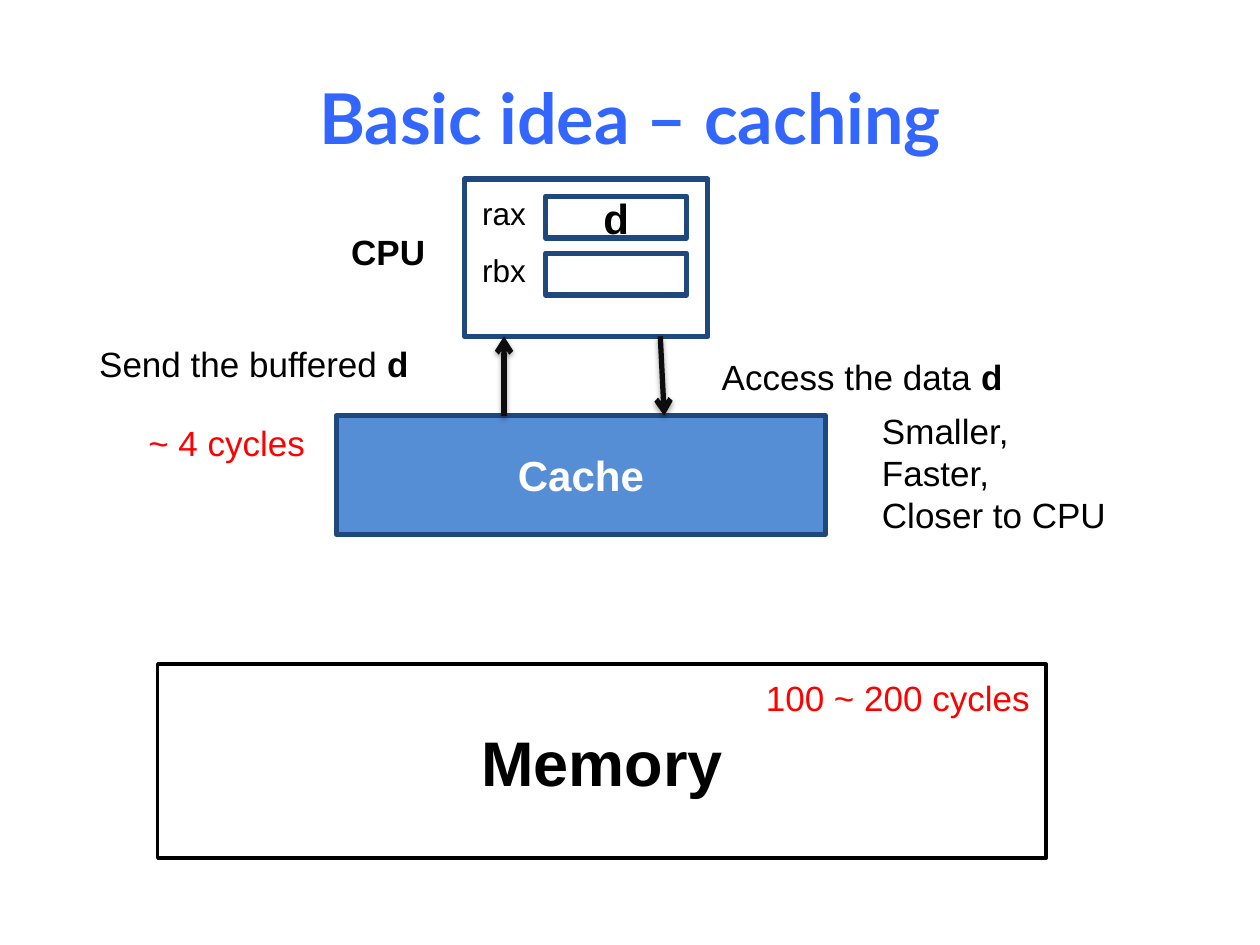
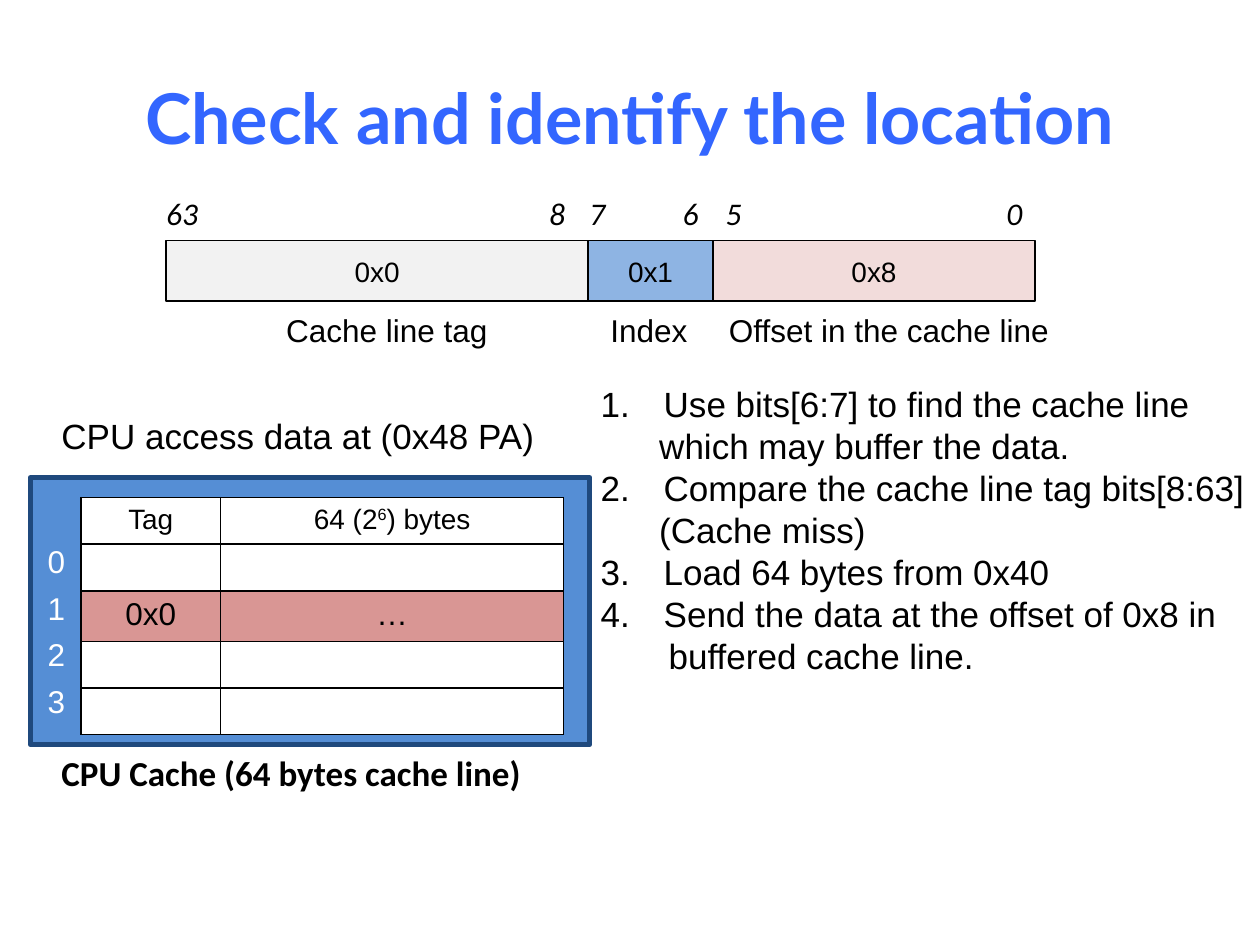
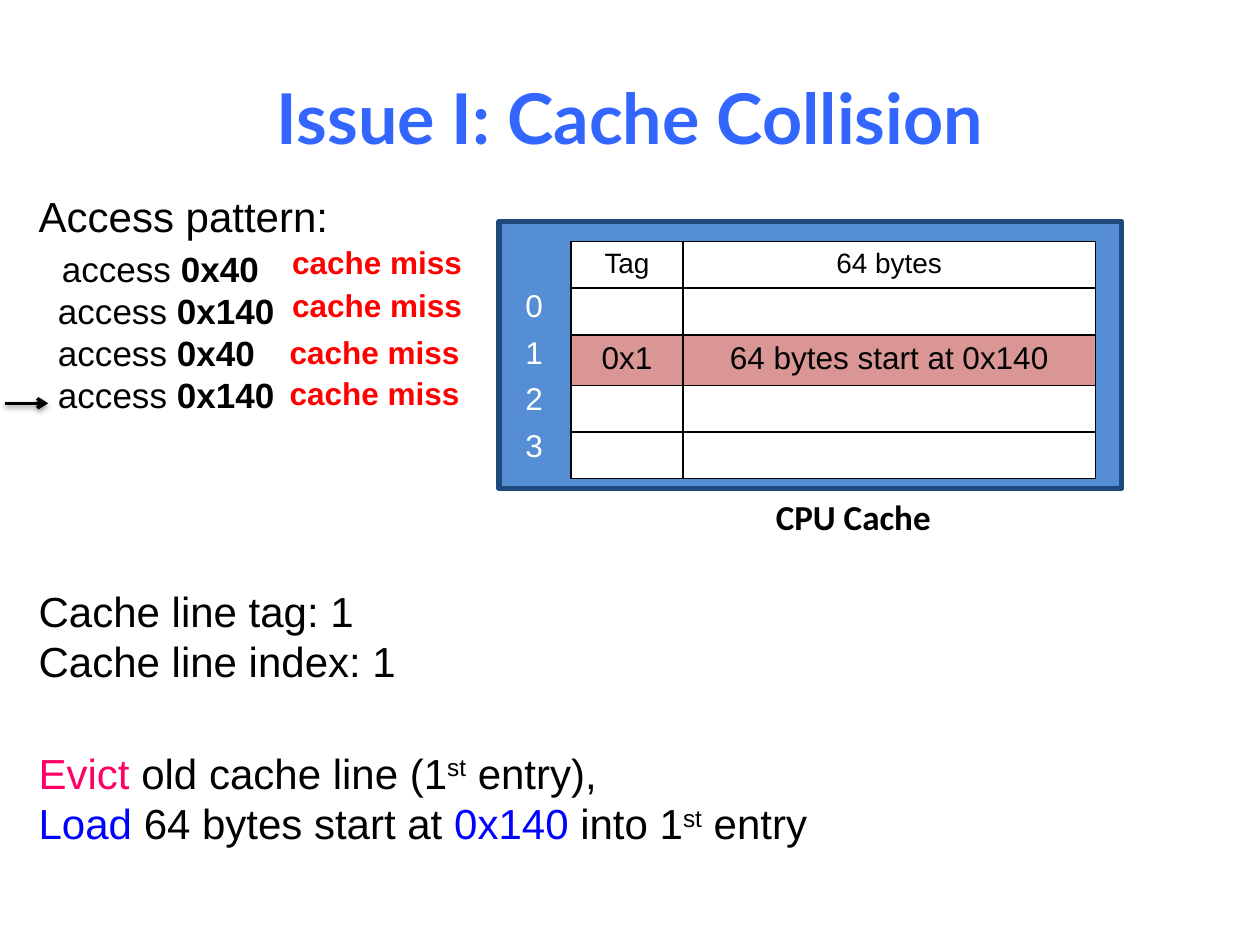
"""Build three slides that explain CPU caching, cache lookup and cache collision."""
from lxml import etree
from pptx import Presentation
from pptx.dml.color import RGBColor
from pptx.enum.shapes import MSO_CONNECTOR, MSO_SHAPE
from pptx.enum.text import MSO_ANCHOR, MSO_AUTO_SIZE as AUTO_SIZE, PP_ALIGN as ALIGN
from pptx.oxml import parse_xml
from pptx.oxml.ns import nsdecls, qn
from pptx.util import Cm, Pt

BLACK, WHITE, RED = "000000", "FFFFFF", "FF0000"
NAVY, CACHE_BLUE, TITLE_BLUE, LOAD_BLUE = "1F497D", "558ED5", "3366FF", "0000FF"
ROSE = "D99694"
BOLD, SUPER = {"bold": True}, {"baseline": "30000"}
hex_color = RGBColor.from_string


def write(frame, lines, align=ALIGN.LEFT, **style):
    """Write lines, each a string or a list of (text, style) spans."""
    for index, line in enumerate(lines):
        para = frame.add_paragraph() if index else frame.paragraphs[0]
        para.alignment = align
        for text, extra in [(line, {})] if isinstance(line, str) else line:
            look = {"name": "Arial", "size": 18, "color": BLACK} | style | extra
            span = para.add_run()
            span.text = text
            span.font.color.rgb = hex_color(look.pop("color"))
            span.font.size = Pt(look.pop("size"))
            if "baseline" in look:
                span.font._element.set("baseline", look.pop("baseline"))
            for key, value in look.items():
                setattr(span.font, key, value)


def draw(page, place, lines=(), fill=None, edge=NAVY, weight=3, wrap=False, **style):
    """Add a filled rectangle, or a plain text box when there is no fill."""
    place = [Cm(value) for value in place]
    if fill:
        box = page.shapes.add_shape(MSO_SHAPE.RECTANGLE, *place)
        box.shadow.inherit = False
        box.fill.solid()
        box.fill.fore_color.rgb = hex_color(fill)
        box.line.color.rgb = hex_color(edge)
        box.line.width = Pt(weight)
        box.text_frame.vertical_anchor = MSO_ANCHOR.MIDDLE
        style = {"align": ALIGN.CENTER} | style
    else:
        box = page.shapes.add_textbox(*place)
        box.text_frame.auto_size = AUTO_SIZE.SHAPE_TO_FIT_TEXT
    box.text_frame.word_wrap = bool(fill) or wrap
    write(box.text_frame, lines, **style)
    return box


deck = Presentation()
deck.slide_width, deck.slide_height = Cm(25.4), Cm(19.05)
pages = []
for heading in ("Basic idea – caching", "Check and identify the location",
                "Issue I: Cache Collision"):
    page = deck.slides.add_slide(deck.slide_layouts[5])
    title = page.shapes.title
    for side, value in {"left": 1.27, "top": 0.76, "width": 22.86, "height": 3.18}.items():
        setattr(title, side, Cm(value))
    title.text_frame.vertical_anchor = MSO_ANCHOR.MIDDLE
    write(title.text_frame, [heading], ALIGN.CENTER, name="Lato", size=40,
          color=TITLE_BLUE, bold=True)
    pages.append(page)
idea, lookup, collision = pages

draw(idea, (9.37, 3.61, 4.9, 3.18), fill=WHITE)
draw(idea, (3.18, 13.39, 17.91, 3.91), ["Memory"], WHITE, BLACK, 2, size=36, bold=True)
draw(idea, (6.78, 8.38, 9.86, 2.39), ["Cache"], CACHE_BLUE, size=24, color=WHITE, bold=True)
for row, (register, content) in enumerate((("rax", ["d"]), ("rbx", []))):
    top = 3.96 + 1.15 * row
    draw(idea, (11, top, 2.84, 0.84), content, WHITE, size=24, bold=True)
    draw(idea, (9.47, top - 0.18, 1.4, 1.02), [register])
for place, lines, color in (
        ((6.83, 4.52, 2.01, 1.12), [[("CPU", BOLD)]], BLACK),
        ((17.53, 8.13, 5.05, 2.82), ["Smaller,", "Faster,", "Closer to CPU"], BLACK),
        ((14.3, 7.04, 6.22, 1.12), [[("Access the data ", {}), ("d", BOLD)]], BLACK),
        ((1.75, 6.78, 6.76, 1.12), [[("Send the buffered ", {}), ("d", BOLD)]], BLACK),
        ((15.19, 13.51, 5.87, 1.12), ["100 ~ 200 cycles"], RED),
        ((2.74, 8.38, 3.71, 1.12), ["~ 4 cycles"], RED)):
    draw(idea, place, lines, size=20, color=color)

left = 3.35
for value, width, fill in (("0x0", 8.51, "F2F2F2"), ("0x1", 2.51, "8EB4E3"),
                           ("0x8", 6.5, "F2DCDB")):
    draw(lookup, (left, 4.85, width, 1.22), [value], fill, BLACK, 1, size=16)
    left += width
for bit, left in (("63", 3.1), ("8", 10.82), ("7", 11.63), ("6", 13.51), ("5", 14.38),
                  ("0", 20.04)):
    draw(lookup, (left, 3.78, 1.6, 1.02), [bit], wrap=True, name="Calibri", italic=True)
for field, left, width in (("Cache line tag", 5.49, 4.62), ("Index", 12.04, 2.08),
                           ("Offset in the cache line", 14.4, 7.04)):
    draw(lookup, (left, 6.15, width, 1.02), [field], align=ALIGN.CENTER)
draw(lookup, (0.99, 8.23, 10.13, 1.12), ["CPU access data at (0x48 PA)"], size=20)

steps = (("Use bits[6:7] to find the cache line", 1, 1.27),
         ("which may buffer the data.", None, 1.18),
         ("Compare the cache line tag bits[8:63]", 2, 1.27),
         ("(Cache miss)", None, 1.18),
         ("Load 64 bytes from 0x40", 3, 1.27),
         ("Send the data at the offset of 0x8 in", 4, 1.27),
         ("buffered cache line.", None, 1.37))
box = draw(lookup, (11.86, 7.59, 13.59, 6.25), [text for text, _, _ in steps], size=20)
for para, (_, number, margin) in zip(box.text_frame.paragraphs, steps):
    layout = para._p.get_or_add_pPr()
    layout.set("marL", str(Cm(margin)))
    layout.set("indent", str(-Cm(margin) if number else 0))
    if number:
        etree.SubElement(layout, qn("a:buAutoNum"), type="arabicPeriod", startAt=str(number))

caches = (
    (lookup, (0.61, 9.63, 11.28, 5.38), 0.71, 1.63, (2.82, 6.91),
     [("64 (2", {}), ("6", SUPER), (") bytes", {})], ("0x0", "…"),
     "CPU Cache (64 bytes cache line)", 0.99, 9.86),
    (collision, (10.06, 4.47, 12.55, 5.38), 10.34, 11.51, (2.26, 8.31),
     "64 bytes", ("0x1", "64 bytes start at 0x140"), "CPU Cache", 15.39, 3.66))
for (page, panel, digit_left, table_left, widths, data_head, entry,
     caption, caption_left, caption_width) in caches:
    top = panel[1]
    draw(page, panel, fill=CACHE_BLUE)
    draw(page, (caption_left, top + 5.4, caption_width, 1.12), [caption],
         name="Calibri", size=20, bold=True)
    for index in range(4):
        draw(page, (digit_left, top + 1.17 + 0.94 * index, 0.89, 1.02), [str(index)],
             wrap=True, color=WHITE)
    frame = page.shapes.add_table(5, 2, Cm(table_left), Cm(top + 0.4), Cm(sum(widths)), Cm(4.78))
    table = frame.table
    table.first_row = table.horz_banding = False
    for column, width in zip(table.columns, widths):
        column.width = Cm(width)
    contents = {0: ("Tag", data_head), 2: entry}
    for number, row in enumerate(table.rows):
        row.height = Cm(1.02 if number == 2 else 0.94)
        for cell, text in zip(row.cells, contents.get(number, ("", ""))):
            for side in ("lnL", "lnR", "lnT", "lnB"):
                cell._tc.get_or_add_tcPr().append(parse_xml(
                    f'<a:{side} {nsdecls("a")} w="12700"><a:solidFill>'
                    f'<a:srgbClr val="{BLACK}"/></a:solidFill></a:{side}>'))
            cell.fill.solid()
            cell.fill.fore_color.rgb = hex_color(ROSE if number == 2 else WHITE)
            if text:
                write(cell.text_frame, [text], ALIGN.CENTER, size=18 if number == 2 else 16)
            else:
                etree.SubElement(cell.text_frame.paragraphs[0]._p, qn("a:endParaRPr"), sz="1600")

accesses = ("0x40", "0x140", "0x40", "0x140")
box = draw(collision, (0.53, 3.71, 6.45, 4.88),
           [[("Access pattern:", {"size": 24})]]
           + [[("access ", {}), (address, BOLD)] for address in accesses], size=20)
for para, margin in zip(box.text_frame.paragraphs[1:], (0.47, 0.39, 0.39, 0.39)):
    para._p.get_or_add_pPr().set("marL", str(Cm(margin)))
box.text_frame.paragraphs[1].space_before = Pt(4)
for left, top in ((5.64, 4.78), (5.64, 5.64), (5.59, 6.58), (5.59, 7.42)):
    draw(collision, (left, top, 3.96, 1.02), ["cache miss"], color=RED, bold=True)
draw(collision, (0.53, 11.68, 8.03, 2.31), ["Cache line tag: 1", "Cache line index: 1"], size=24)
draw(collision, (0.53, 14.94, 16.21, 2.31), [
    [("Evict ", {"color": "FF0066"}), ("old cache line (1", {}), ("st", SUPER), (" entry),", {})],
    [("Load ", {"color": LOAD_BLUE}), ("64 bytes start at ", {}), ("0x140 ", {"color": LOAD_BLUE}),
     ("into 1", {}), ("st", SUPER), (" entry", {})]], size=24)

for page, ends, color, weight in (
        (idea, (13.31, 6.78, 13.39, 8.38), "0D0D0D", 3),
        (idea, (10.16, 8.38, 10.16, 6.78), "0D0D0D", 3),
        (collision, (0.1, 8.13, 0.97, 8.13), BLACK, 2)):
    arrow = page.shapes.add_connector(MSO_CONNECTOR.STRAIGHT, *[Cm(value) for value in ends])
    arrow.line.color.rgb = hex_color(color)
    arrow.line.width = Pt(weight)
    etree.SubElement(arrow.line._get_or_add_ln(), qn("a:tailEnd"), type="arrow")
    arrow._element.spPr.append(parse_xml(
        f'<a:effectLst {nsdecls("a")}><a:outerShdw blurRad="39400" dist="20300" dir="5400000" '
        f'rotWithShape="0"><a:srgbClr val="{BLACK}"><a:alpha val="38000"/></a:srgbClr>'
        '</a:outerShdw></a:effectLst>'))

deck.save("out.pptx")
